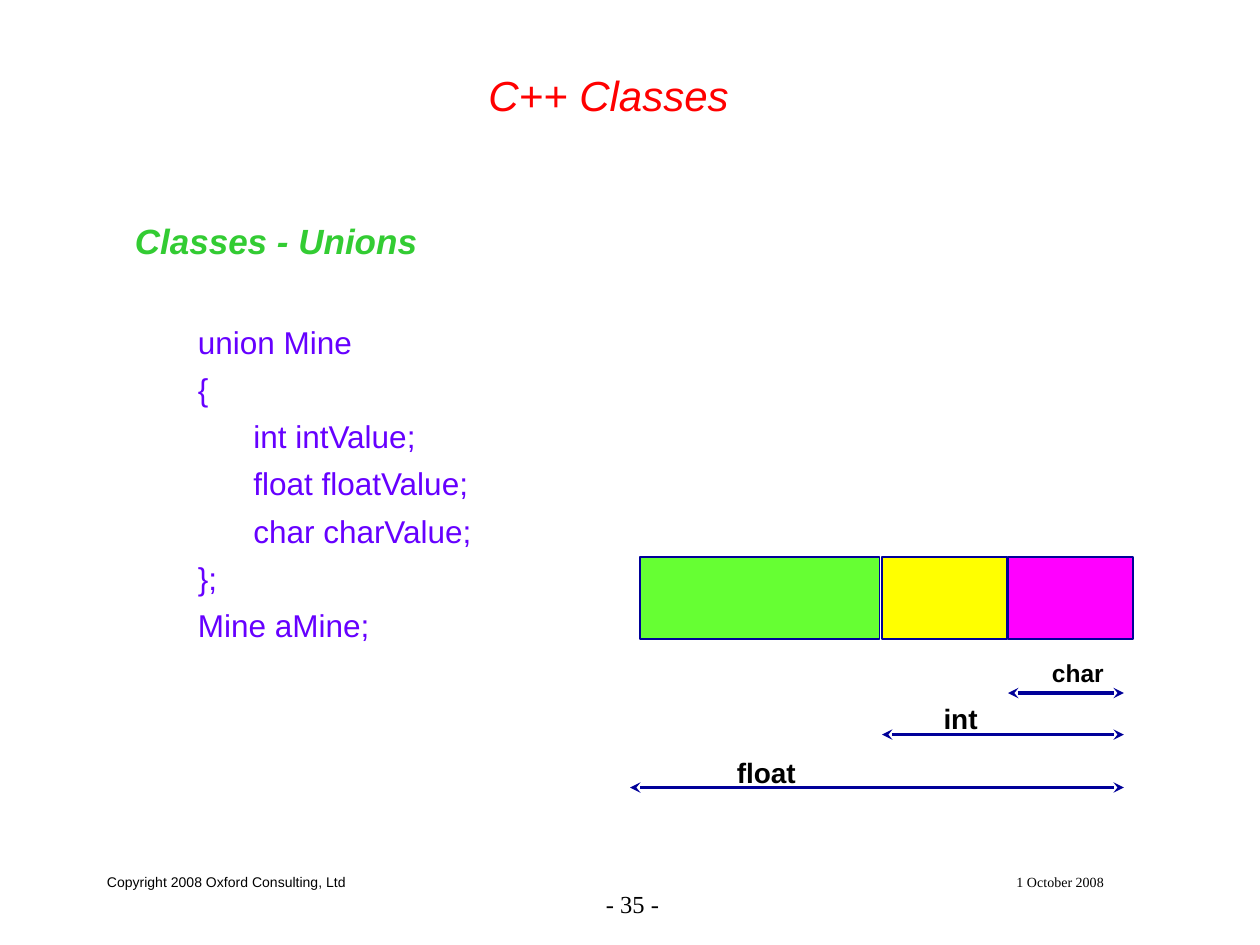
from lxml import etree
from pptx import Presentation
from pptx.dml.color import RGBColor
from pptx.enum import shapes, text
from pptx.oxml import ns
from pptx.util import Inches, Pt

COLORS = {
    "black": "000000", "title": "FF0000", "heading": "33CC33", "code": "6600FF",
    "line": "000099", "green": "66FF33", "yellow": "FFFF00", "magenta": "FF00FF",
}
LEFT, CENTER, RIGHT = text.PP_ALIGN.LEFT, text.PP_ALIGN.CENTER, text.PP_ALIGN.RIGHT
TOP, MIDDLE, BOTTOM = text.MSO_ANCHOR.TOP, text.MSO_ANCHOR.MIDDLE, text.MSO_ANCHOR.BOTTOM


def format_font(paragraph, color, **values):
    for name, value in values.items():
        setattr(paragraph.font, name, value)
    paragraph.font.color.rgb = RGBColor.from_string(COLORS[color])


def place(shape, left, top, width, height, anchor, wrap=True):
    box = {"left": left, "top": top, "width": width, "height": height}
    for name, value in box.items():
        setattr(shape, name, Inches(value))
    frame = shape.text_frame
    frame.auto_size = text.MSO_AUTO_SIZE.NONE
    frame.word_wrap = wrap
    frame.vertical_anchor = anchor
    return frame


presentation = Presentation()
presentation.slide_width, presentation.slide_height = Inches(10), Inches(7.5)
slide = presentation.slides.add_slide(presentation.slide_layouts[1])
title, body = slide.placeholders

# Title
frame = place(title, 0.58, 0.33, 8.5, 0.67, BOTTOM)
frame.text = "C++ Classes"
frame.paragraphs[0].alignment = CENTER
format_font(frame.paragraphs[0], "title", name="Arial", size=Pt(24), italic=True)

# Heading and code: text, level, space before
lines = [
    ("Classes - Unions", 0, 0),
    ("union Mine", 1, 35),
    ("{", 1, 5.4),
    ("int intValue;", 2, 5.4),
    ("float floatValue;", 2, 5.4),
    ("char charValue;", 2, 5.4),
    ("};", 1, 5.4),
    ("Mine aMine;", 1, 5.4),
]
indents = [(0.38, -0.38), (0.81, -0.31), (1.19, -0.25)]
frame = place(body, 0.97, 1.69, 8.45, 4.75, TOP)
frame.text = "\n".join(line[0] for line in lines)
for paragraph, (_, level, space) in zip(frame.paragraphs, lines):
    paragraph.level = level
    properties = paragraph._p.get_or_add_pPr()
    margin, indent = indents[level]
    properties.set("marL", str(Inches(margin)))
    properties.set("indent", str(Inches(indent)))
    etree.SubElement(properties, ns.qn("a:buNone"))
    paragraph.space_before = Pt(space)
    heading = level == 0
    format_font(paragraph, "heading" if heading else "code", name="Arial",
                size=Pt(20 if heading else 18), bold=heading, italic=heading)

# Footer and size labels: text, box, anchor, alignment, font, size, bold
labels = [
    ("Copyright 2008 Oxford Consulting, Ltd", (0.75, 6.75, 2.08, 0.5), MIDDLE, LEFT, "Arial", 8, False),
    ("1 October 2008", (6.83, 6.75, 3.17, 0.5), MIDDLE, CENTER, "Times New Roman", 8, False),
    ("- 35 -", (4.58, 6.92, 0.75, 0.5), MIDDLE, RIGHT, "Times New Roman", 14, False),
    ("char", (8.25, 5.17, 0.61, 0.33), TOP, LEFT, "Arial", 14, True),
    ("int", (7.39, 5.52, 0.47, 0.37), TOP, LEFT, "Arial", 16, True),
    ("float", (5.75, 5.95, 0.67, 0.37), TOP, LEFT, "Arial", 16, True),
]
for words, box, anchor, alignment, font, size, bold in labels:
    textbox = slide.shapes.add_textbox(0, 0, 0, 0)
    frame = place(textbox, *box, anchor, wrap=False)
    frame.text = words
    frame.paragraphs[0].alignment = alignment
    format_font(frame.paragraphs[0], "black", name=font, size=Pt(size), bold=bold)

# Memory blocks
for left, width, color in [(5.08, 1.9, "green"), (7, 0.99, "yellow"), (8, 0.99, "magenta")]:
    block = slide.shapes.add_shape(shapes.MSO_SHAPE.RECTANGLE, Inches(left), Inches(4.42),
                                   Inches(width), Inches(0.65))
    block.shadow.inherit = False
    block.fill.solid()
    block.fill.fore_color.rgb = RGBColor.from_string(COLORS[color])
    block.line.color.rgb = RGBColor.from_string(COLORS["line"])
    block.line.width = Pt(1)

# Extent arrows for float, int and char
for left, y in [(5, 6.25), (7, 5.83), (8, 5.5)]:
    arrow = slide.shapes.add_connector(shapes.MSO_CONNECTOR.STRAIGHT, Inches(left), Inches(y),
                                       Inches(8.92), Inches(y))
    arrow.line.color.rgb = RGBColor.from_string(COLORS["line"])
    arrow.line.width = Pt(2)
    for end in ("a:headEnd", "a:tailEnd"):
        etree.SubElement(arrow.line._get_or_add_ln(), ns.qn(end), type="stealth")
    etree.SubElement(arrow._element.spPr, ns.qn("a:effectLst"))

presentation.save("out.pptx")
